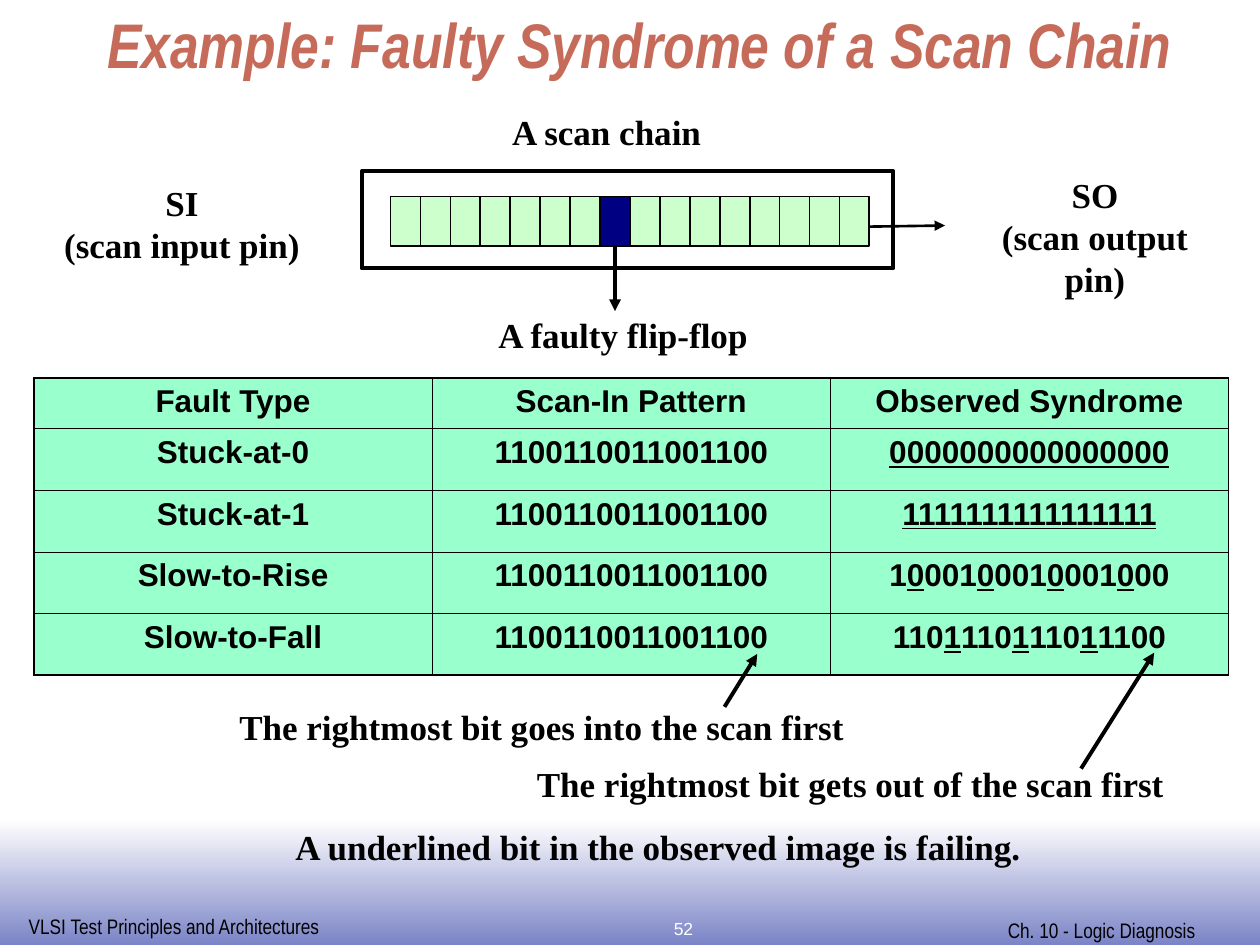
from lxml.etree import SubElement
from pptx import Presentation
from pptx.dml.color import RGBColor
from pptx.enum.shapes import MSO_CONNECTOR, MSO_SHAPE
from pptx.enum.text import MSO_ANCHOR, MSO_AUTO_SIZE, PP_ALIGN
from pptx.oxml.ns import qn
from pptx.util import Inches, Pt

# Content
TITLE = "Example: Faulty Syndrome of a Scan Chain"
PATTERN = "1100110011001100"
# Bits between underscores are underlined
ROWS = [
    ("Fault Type", "Scan-In Pattern", "Observed Syndrome"),
    ("Stuck-at-0", PATTERN, "_0000000000000000_"),
    ("Stuck-at-1", PATTERN, "_1111111111111111_"),
    ("Slow-to-Rise", PATTERN, "1_0_001_0_001_0_001_0_00"),
    ("Slow-to-Fall", PATTERN, "110_1_110_1_110_1_1100"),
]
LABELS = [  # lines, (left, top, width, height)
    (["SI", "(scan input pin)"], (0.41, 1.39, 2.07, 0.77)),
    (["SO", "(scan output pin)"], (7.58, 1.33, 2.22, 0.77)),
    (["A scan chain"], (3.96, 0.83, 1.71, 0.44)),
    (["A faulty flip-flop"], (3.85, 2.44, 2.19, 0.44)),
    (["The rightmost bit goes into the scan first"], (1.8, 5.55, 5, 0.44)),
    (["The rightmost bit gets out of the scan first"], (4.16, 6, 5.18, 0.44)),
    (["A underlined bit in the observed image is failing."], (2.24, 6.5, 5.97, 0.44)),
]
FOOTERS = [
    ("VLSI Test Principles and Architectures", (0.13, 7.2, 2.53, 0.3)),
    ("Ch. 10 - Logic Diagnosis", (7.9, 7.23, 1.96, 0.3)),
]
PAGE = ("52", (4.26, 7.06, 2.33, 0.44))
NOTE_ARROWS = [((5.75, 5.61), (6.01, 5.19)), ((8.58, 6.1), (9.16, 5.18))]
CELL_COUNT, FAULTY = 16, 7
CHAIN_LEFT, CHAIN_TOP, CHAIN_WIDTH, CHAIN_HEIGHT = 3.1, 1.56, 3.8, 0.39

THEME = {
    "ink": "000000", "paper": "FFFFFF", "band": "7B84C6",
    "cell": "CCFFCC", "faulty": "000082", "table": "99FFCC",
    "title": dict(name="Arial Narrow", size=36, color="C66B5A", bold=True, italic=True),
    "label": dict(name="Times New Roman", size=20, color="000000", bold=True),
    "grid": dict(name="Arial", size=18, color="000000", bold=True),
    "footer": dict(name="Arial Narrow", size=12, color="000000"),
    "page": dict(name="Arial", size=10, color="FFFFFF"),
}


def rgb(key):
    return RGBColor.from_string(THEME[key])


def style(font, key):
    for name, value in THEME[key].items():
        if name == "color":
            font.color.rgb = RGBColor.from_string(value)
        else:
            setattr(font, name, Pt(value) if name == "size" else value)


def add_text(s, lines, box, key, align=PP_ALIGN.CENTER, wrap=False):
    tf = s.shapes.add_textbox(*map(Inches, box)).text_frame
    tf.word_wrap = wrap
    for i, line in enumerate(lines):
        p = tf.add_paragraph() if i else tf.paragraphs[0]
        p.alignment = align
        r = p.add_run()
        r.text = line
        style(r.font, key)
    return tf


def add_rect(s, box, fill=None, line=None):
    sp = s.shapes.add_shape(MSO_SHAPE.RECTANGLE, *map(Inches, box))
    sp.shadow.inherit = False
    if fill:
        sp.fill.solid()
        sp.fill.fore_color.rgb = rgb(fill)
    if line:
        sp.line.color.rgb = rgb("ink")
        sp.line.width = Pt(line)
    else:
        sp.line.fill.background()
    return sp


def add_arrow(s, start, end, width):
    c = s.shapes.add_connector(MSO_CONNECTOR.STRAIGHT, *map(Inches, start + end))
    c.line.color.rgb = rgb("ink")
    c.line.width = Pt(width)
    SubElement(c.line._get_or_add_ln(), qn("a:tailEnd"), type="triangle")
    SubElement(c._element.spPr, qn("a:effectLst"))
    return c


def set_borders(cell, widths):
    tcPr = cell._tc.get_or_add_tcPr()
    for side, width in widths.items():
        ln = SubElement(tcPr, qn(f"a:ln{side}"), w=str(Pt(width)))
        fill = SubElement(ln, qn("a:solidFill"))
        SubElement(fill, qn("a:srgbClr"), val=THEME["ink"])


def add_fault_table(s):
    heights = [0.4] + [0.49] * (len(ROWS) - 1)
    cols = len(ROWS[0])
    box = map(Inches, (0.27, 3, 9.48, sum(heights)))
    table = s.shapes.add_table(len(ROWS), cols, *box).table
    for col in table.columns:
        col.width = Inches(9.48 / cols)
    for i, row in enumerate(ROWS):
        table.rows[i].height = Inches(heights[i])
        for j, text in enumerate(row):
            cell = table.cell(i, j)
            outer = {"L": j == 0, "R": j == cols - 1, "T": i == 0, "B": i == len(ROWS) - 1}
            set_borders(cell, {side: 1.08 if edge else 0.45 for side, edge in outer.items()})
            cell.fill.solid()
            cell.fill.fore_color.rgb = rgb("table")
            p = cell.text_frame.paragraphs[0]
            p.alignment = PP_ALIGN.CENTER
            for k, part in enumerate(text.split("_")):
                if part:
                    r = p.add_run()
                    r.text = part
                    style(r.font, "grid")
                    r.font.underline = k % 2 == 1


def main():
    prs = Presentation()
    prs.slide_width, prs.slide_height = Inches(10), Inches(7.5)
    s = prs.slides.add_slide(prs.slide_layouts[5])

    # Footer band
    band = add_rect(s, (0, 6.5, 10, 1))
    band.fill.gradient()
    band.fill.gradient_angle = 270
    for stop, key in zip(band.fill.gradient_stops, ("paper", "band")):
        stop.color.rgb = rgb(key)
    for text, box in FOOTERS:
        add_text(s, [text], box, "footer", PP_ALIGN.LEFT, True)
    add_text(s, [PAGE[0]], PAGE[1], "page", wrap=True).vertical_anchor = MSO_ANCHOR.BOTTOM

    # Title
    title = s.shapes.title
    title.left, title.top, title.width, title.height = map(Inches, (0.75, 0.25, 9, 1))
    tf = title.text_frame
    tf.text = TITLE
    for name, value in dict(auto_size=MSO_AUTO_SIZE.NONE, vertical_anchor=MSO_ANCHOR.BOTTOM,
                            margin_top=0, margin_bottom=Inches(0.61)).items():
        setattr(tf, name, value)
    p = tf.paragraphs[0]
    p.alignment, p.line_spacing = PP_ALIGN.LEFT, 0.8
    style(p.runs[0].font, "title")

    # Scan chain
    add_rect(s, (2.87, 1.36, 4.22, 0.77), "paper", 2.25)
    add_arrow(s, (6.8, 1.8), (7.5, 1.79), 1.5)
    pitch = CHAIN_WIDTH / CELL_COUNT
    cells = [add_rect(s, (CHAIN_LEFT + i * pitch, CHAIN_TOP, pitch, CHAIN_HEIGHT),
                      "faulty" if i == FAULTY else "cell", 1) for i in range(CELL_COUNT)]
    x = CHAIN_LEFT + (FAULTY + 0.5) * pitch
    fault_arrow = add_arrow(s, (x, CHAIN_TOP + CHAIN_HEIGHT), (x, 2.47), 2.25)
    fault_arrow.begin_connect(cells[FAULTY], 2)

    # Fault table, labels and note arrows
    add_fault_table(s)
    for lines, box in LABELS:
        add_text(s, lines, box, "label")
    for start, end in NOTE_ARROWS:
        add_arrow(s, start, end, 2.25)

    prs.save("out.pptx")


if __name__ == "__main__":
    main()
